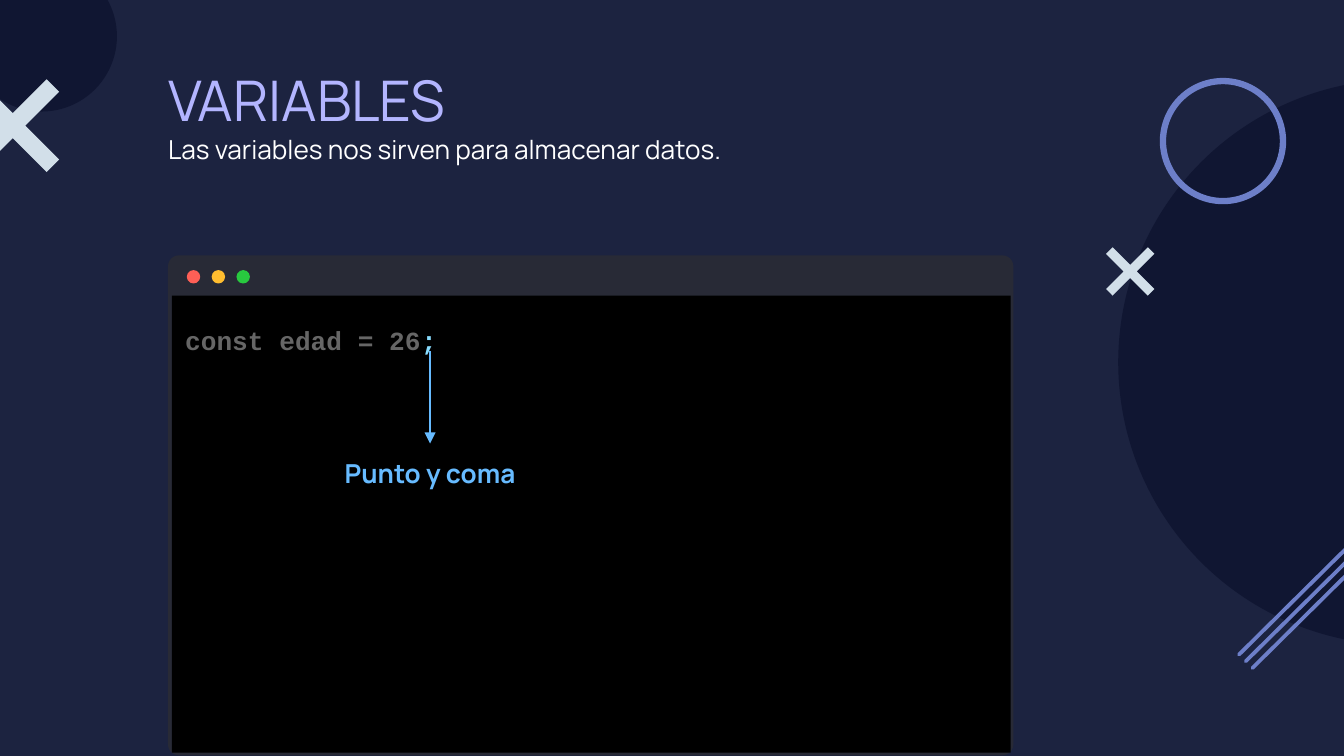
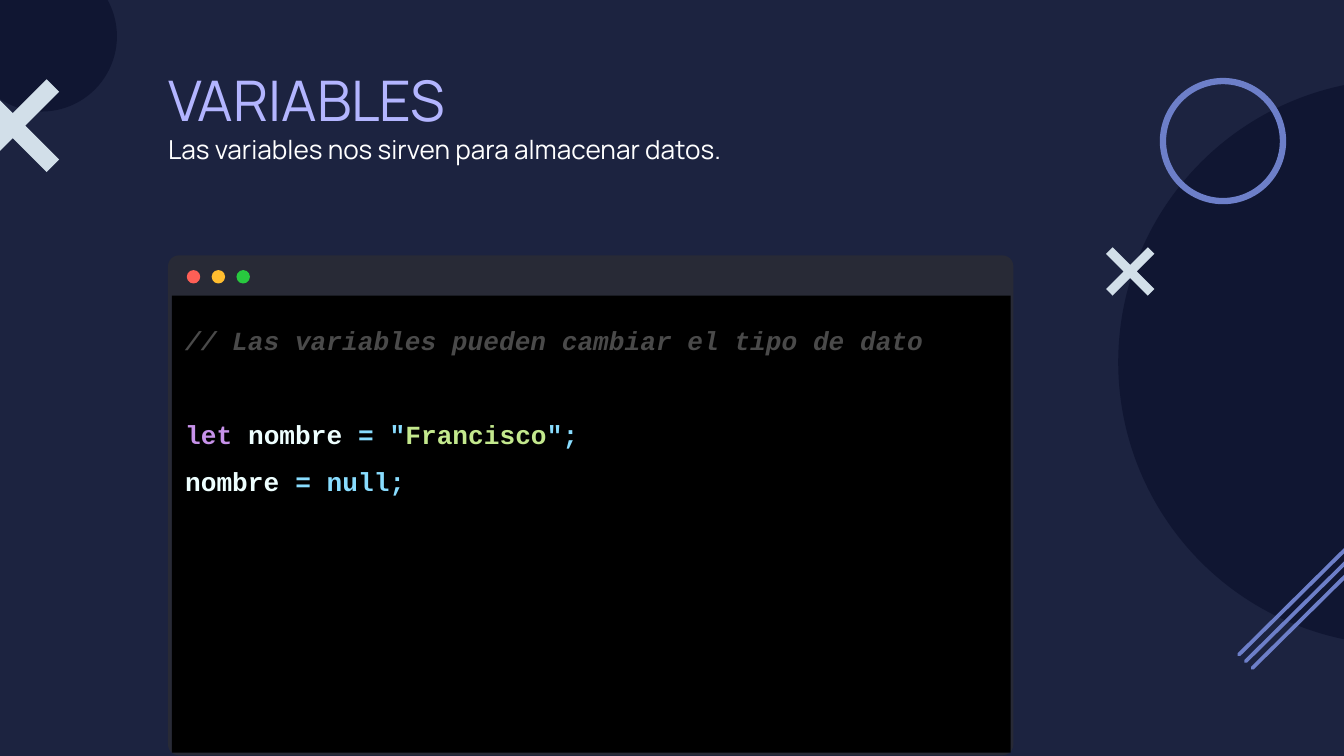
from pptx import Presentation
from pptx.util import Inches, Pt
from pptx.dml.color import RGBColor
from pptx.enum.shapes import MSO_CONNECTOR, MSO_SHAPE
from pptx.enum.text import MSO_ANCHOR, PP_ALIGN
from pptx.oxml.ns import qn
from lxml.etree import SubElement

WIDE = 10
HIGH = WIDE * 9 / 16
LEFT = WIDE / 8
FINE = 1000
INK = {
    "night": "1C2340", "deep": "101632", "frost": "D2DFE9", "iris": "6D7FC9",
    "lilac": "B3B5FF", "white": "FFFFFF", "sky": "67BBFF",
    "frame": "282A36", "black": "000000",
    "red": "FF5F56", "amber": "FFBD2F", "green": "28C93F",
    "dim": "666666", "note": "4A4A4A", "key": "C792EA",
    "name": "EEFFFF", "sign": "89DDFF", "quote": "C3E88D",
}
SANS, MONO = "Manrope", "Courier New"


def tint(name):
    return RGBColor.from_string(INK[name])


def paint(shape, color):
    shape.fill.solid()
    shape.fill.fore_color.rgb = tint(color)
    shape.line.fill.background()
    shape.shadow.inherit = False
    return shape


def place(shape, x, y, w, h):
    shape.left, shape.top = Inches(x), Inches(y)
    shape.width, shape.height = Inches(w), Inches(h)


def block(slide, kind, x, y, w, h, color):
    shape = slide.shapes.add_shape(kind, Inches(x), Inches(y), Inches(w), Inches(h))
    return paint(shape, color)


def disc(slide, x, y, size, color):
    return block(slide, MSO_SHAPE.OVAL, x, y, size, size, color)


def write(shape, lines, font=SANS, size=14, bold=False, align=PP_ALIGN.LEFT,
          space=1.0, gaps=None):
    frame = shape.text_frame
    frame.word_wrap = True
    frame.vertical_anchor = MSO_ANCHOR.TOP
    frame.margin_left = frame.margin_right = Inches(0.1)
    frame.margin_top = frame.margin_bottom = Inches(0.1)
    for row, runs in enumerate(lines):
        para = frame.paragraphs[0] if row == 0 else frame.add_paragraph()
        para.alignment, para.line_spacing = align, space
        para.space_before = Pt((gaps or {}).get(row, 0))
        for text, color, *extra in runs:
            look = dict(*extra)
            run = para.add_run()
            run.text = text
            run.font.name = font
            run.font.size = Pt(look.get("size", size))
            run.font.bold = bold
            run.font.italic = look.get("italic", False)
            run.font.color.rgb = tint(color)


def outline(slide, points, color):
    dots = [(round(x * FINE), round(y * FINE)) for x, y in points]
    pen = slide.shapes.build_freeform(*dots[0], scale=Inches(1) / FINE)
    pen.add_line_segments(dots[1:], close=True)
    return paint(pen.convert_to_shape(), color)


def cross(slide, x, y, size):
    mid, arm = size / 2, size * 0.135
    side = [(0, -arm), (mid - arm, -mid), (mid, -mid + arm)]
    points = []
    for _ in range(4):
        points += side
        side = [(-b, a) for a, b in side]
    outline(slide, [(x + mid + a, y + mid + b) for a, b in points], "frost")


def stripe(slide, x, y):
    run, rise, edge = 0.93, 0.92, 0.02
    outline(slide, [(x, y + rise - edge), (x + run - edge, y), (x + run, y),
                    (x + run, y + edge), (x + edge, y + rise), (x, y + rise)], "iris")


def window(slide):
    frame = block(slide, MSO_SHAPE.ROUNDED_RECTANGLE, LEFT, 1.9, 6.29, 3.72, "frame")
    frame.adjustments[0] = 0.022
    for col, color in enumerate(("red", "amber", "green")):
        disc(slide, 1.39 + col * 0.185, 2.01, 0.1, color)


def code(slide, lines, **look):
    pane = block(slide, MSO_SHAPE.RECTANGLE, LEFT + 0.03, 2.2, 6.24, 3.4, "black")
    write(pane, lines, font=MONO, bold=True, space=1.5, **look)


def head(slide, title, text):
    shape = slide.shapes.title
    place(shape, 1.15, 0.39, 4.86, 0.86)
    write(shape, [[(title, "lilac", {"size": 30})], [(text, "white")]])
    slide.shapes._spTree.append(shape._element)


def decor(slide):
    disc(slide, -0.25, -0.29, 1.12, "deep")
    disc(slide, 8.32, 0.59, 4.21, "deep")
    cross(slide, 8.23, 1.84, 0.36)
    ring = block(slide, MSO_SHAPE.DONUT, 8.63, 0.58, 0.94, 0.94, "iris")
    ring.adjustments[0] = 0.05
    for step in range(3):
        stripe(slide, 9.21 + step * 0.05, 3.96 + step * 0.05)
    cross(slide, -0.25, 0.59, 0.69)


def arrow(slide, x, y, end):
    line = slide.shapes.add_connector(MSO_CONNECTOR.STRAIGHT, Inches(x), Inches(y),
                                      Inches(x), Inches(end))
    line.line.color.rgb = tint("sky")
    line.line.width = Pt(1.5)
    SubElement(line.line._get_or_add_ln(), qn("a:headEnd"), type="triangle")
    SubElement(line._element.spPr, qn("a:effectLst"))


def label(slide, text, x, y, w, h):
    box = slide.shapes.add_textbox(Inches(x), Inches(y), Inches(w), Inches(h))
    write(box, [[(text, "sky")]], bold=True, align=PP_ALIGN.CENTER)


def page(deck, lines, **look):
    slide = deck.slides.add_slide(deck.slide_layouts[5])
    slide.background.fill.solid()
    slide.background.fill.fore_color.rgb = tint("night")
    window(slide)
    code(slide, lines, **look)
    head(slide, "VARIABLES", "Las variables nos sirven para almacenar datos.")
    decor(slide)
    return slide


def main():
    deck = Presentation()
    deck.slide_width, deck.slide_height = Inches(WIDE), Inches(HIGH)
    first = page(deck, [[("const edad = 26", "dim"), (";", "sign")]])
    arrow(first, 3.2, 3.3, 2.61)
    label(first, "Punto y coma", 2.44, 3.3, 1.52, 0.86)
    page(deck, [
        [("// Las variables pueden cambiar el tipo de dato", "note", {"italic": True})],
        [("let", "key"), (" nombre ", "name"), ("= \"", "sign"),
         ("Francisco", "quote"), ("\";", "sign")],
        [("nombre ", "name"), ("= null;", "sign")],
    ], gaps={1: 25})
    deck.save("out.pptx")


main()
